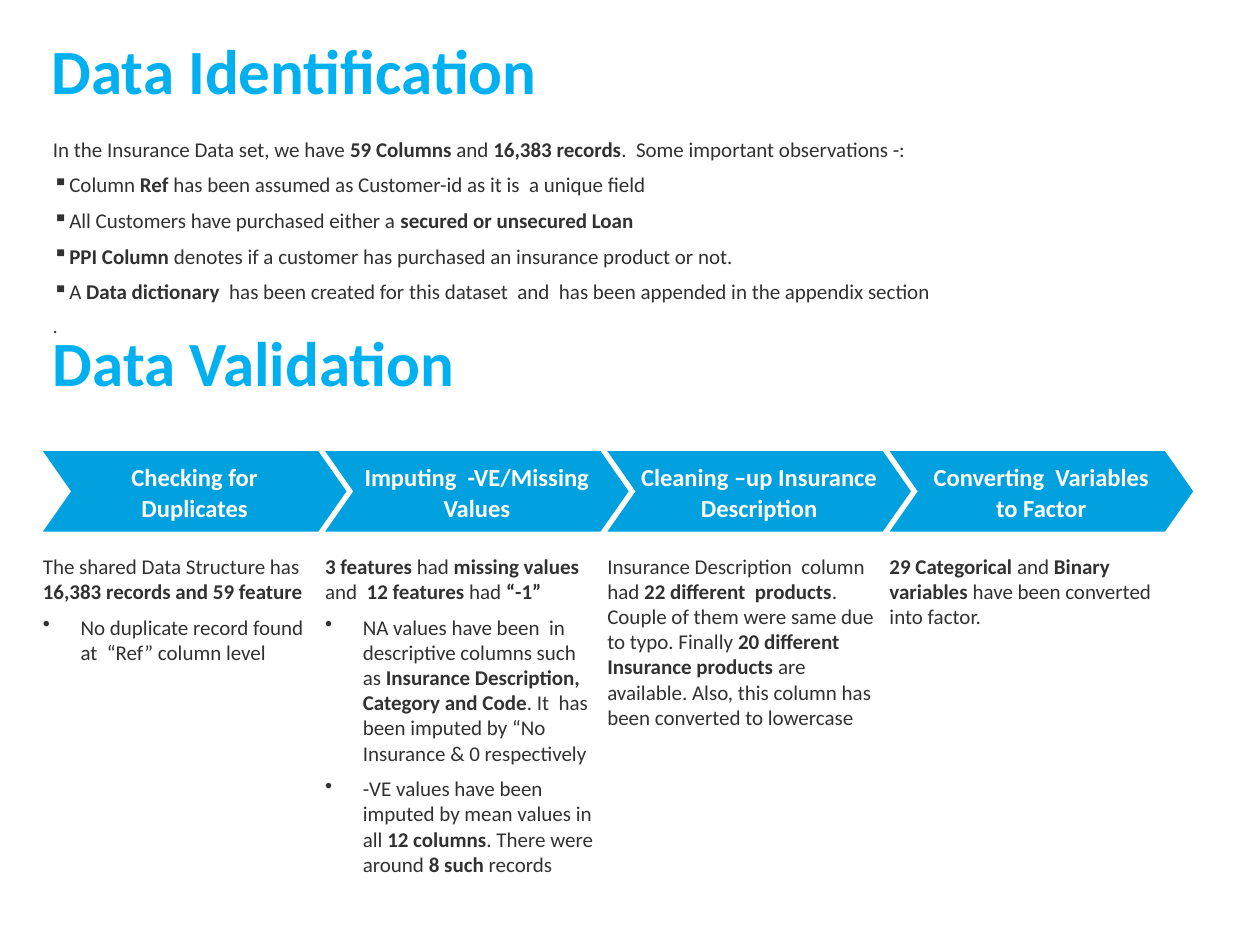
from dataclasses import dataclass

from lxml import etree
from pptx import Presentation
from pptx.dml.color import RGBColor
from pptx.enum.shapes import MSO_SHAPE
from pptx.enum.text import MSO_ANCHOR, PP_ALIGN
from pptx.oxml.ns import qn
from pptx.util import Inches, Pt

CHEVRON = MSO_SHAPE.CHEVRON
MIDDLE = MSO_ANCHOR.MIDDLE
CENTER = PP_ALIGN.CENTER

FONT = "Calibri"
COLORS = {"title": "00B0F0", "chevron": "00A1DE", "label": "FFFFFF", "body": "313131"}

STEP_LEFT, STEP_PITCH = 0.34, 2.24


@dataclass
class Para:
    text: str  # **marked** parts are bold
    bullet: str = ""
    indent: float = 0
    size: float = 12


@dataclass
class Step:
    label: str
    details: list[Para]


INTRO = [
    Para("In the Insurance Data set, we have **59 Columns **and **16,383 records**."
         "  Some important observations -:"),
    *(Para(text, "▪", 0.13) for text in (
        "Column **Ref** has been assumed as Customer-id as it is  a unique field",
        "All Customers have purchased either a **secured or unsecured Loan**",
        "**PPI Column **denotes if a customer has purchased an insurance product or not.",
        "A **Data dictionary  **has been created for this dataset  and  has been "
        "appended in the appendix section",
    )),
    Para(".", size=11),
]

STEPS = [
    Step("Checking for Duplicates", [
        Para("The shared Data Structure has **16,383 records and 59 feature**"),
        Para("No duplicate record found at  “Ref” column level", "•", 0.3),
    ]),
    Step("Imputing  -VE/Missing Values", [
        Para("**3 features **had **missing values **and  **12 features **had **“-1”**"),
        Para("NA values have been  in descriptive columns such as **Insurance Description, "
             "Category and Code**. It  has been imputed by “No Insurance & 0 respectively",
             "•", 0.3),
        Para("-VE values have been imputed by mean values in all **12 columns**. "
             "There were around **8 such **records", "•", 0.3),
    ]),
    Step("Cleaning –up Insurance Description", [
        Para("Insurance Description  column had **22 different  products**. Couple of them "
             "were same due to typo. Finally **20 different Insurance products **are "
             "available. Also, this column has been converted to lowercase"),
    ]),
    Step("Converting  Variables to Factor", [
        Para("**29 Categorical **and **Binary variables **have been converted into factor."),
    ]),
]


def set_font(p, size: float, color: str, bold: bool = False) -> None:
    p.font.name = FONT
    p.font.size = Pt(size)
    p.font.bold = bold
    p.font.color.rgb = RGBColor.from_string(COLORS[color])


def set_margins(tf, margin: float) -> None:
    tf.margin_left = tf.margin_right = tf.margin_top = tf.margin_bottom = Inches(margin)
    tf.word_wrap = True


def add_text_frame(slide, left: float, top: float, width: float, height: float):
    box = slide.shapes.add_textbox(Inches(left), Inches(top), Inches(width), Inches(height))
    set_margins(box.text_frame, 0)
    return box.text_frame


def add_title(slide, text: str, left: float, top: float) -> None:
    p = add_text_frame(slide, left, top, 9.18, 0.76).paragraphs[0]
    p.text = text
    set_font(p, 36, "title", bold=True)


def set_bullet(p, char: str, indent: float) -> None:
    """Give the paragraph a bullet character with a hanging indent."""
    pPr = p._p.get_or_add_pPr()
    pPr.set("marL", str(Inches(indent)))
    pPr.set("indent", str(-Inches(indent)))
    bullet = etree.Element(qn("a:buChar"), char=char)
    pPr.find(qn("a:defRPr")).addprevious(bullet)


def add_body(slide, paras: list[Para], left: float, top: float,
             width: float, height: float) -> None:
    tf = add_text_frame(slide, left, top, width, height)
    for i, para in enumerate(paras):
        p = tf.add_paragraph() if i else tf.paragraphs[0]
        p.space_before = Pt(6)
        set_font(p, para.size, "body")
        if para.bullet:
            set_bullet(p, para.bullet, para.indent)
        for j, part in enumerate(para.text.split("**")):
            if part:
                r = p.add_run()
                r.text = part
                r.font.bold = j % 2 == 1


def add_chevron(slide, label: str, left: float) -> None:
    s = slide.shapes.add_shape(CHEVRON, Inches(left), Inches(3.58), Inches(2.41), Inches(0.64))
    s.adjustments[0] = 0.35
    s.shadow.inherit = False
    s.fill.solid()
    s.fill.fore_color.rgb = RGBColor.from_string(COLORS["chevron"])
    s.line.fill.background()
    tf = s.text_frame
    set_margins(tf, 0.04)
    tf.vertical_anchor = MIDDLE
    p = tf.paragraphs[0]
    p.text = label
    p.alignment = CENTER
    p.line_spacing = 1.06
    set_font(p, 14, "label", bold=True)


def main() -> None:
    prs = Presentation()
    prs.slide_width, prs.slide_height = Inches(10), Inches(7.5)
    slide = prs.slides.add_slide(prs.slide_layouts[6])

    add_title(slide, "Data Identification", 0.41, 0.25)
    add_body(slide, INTRO, 0.42, 1.08, 9.25, 1.58)
    add_title(slide, "Data Validation", 0.42, 2.57)
    for i, step in enumerate(STEPS):
        left = STEP_LEFT + i * STEP_PITCH
        add_chevron(slide, step.label, left)
        add_body(slide, step.details, left, 4.39, 2.14, 1.28)

    prs.save("out.pptx")


if __name__ == "__main__":
    main()
